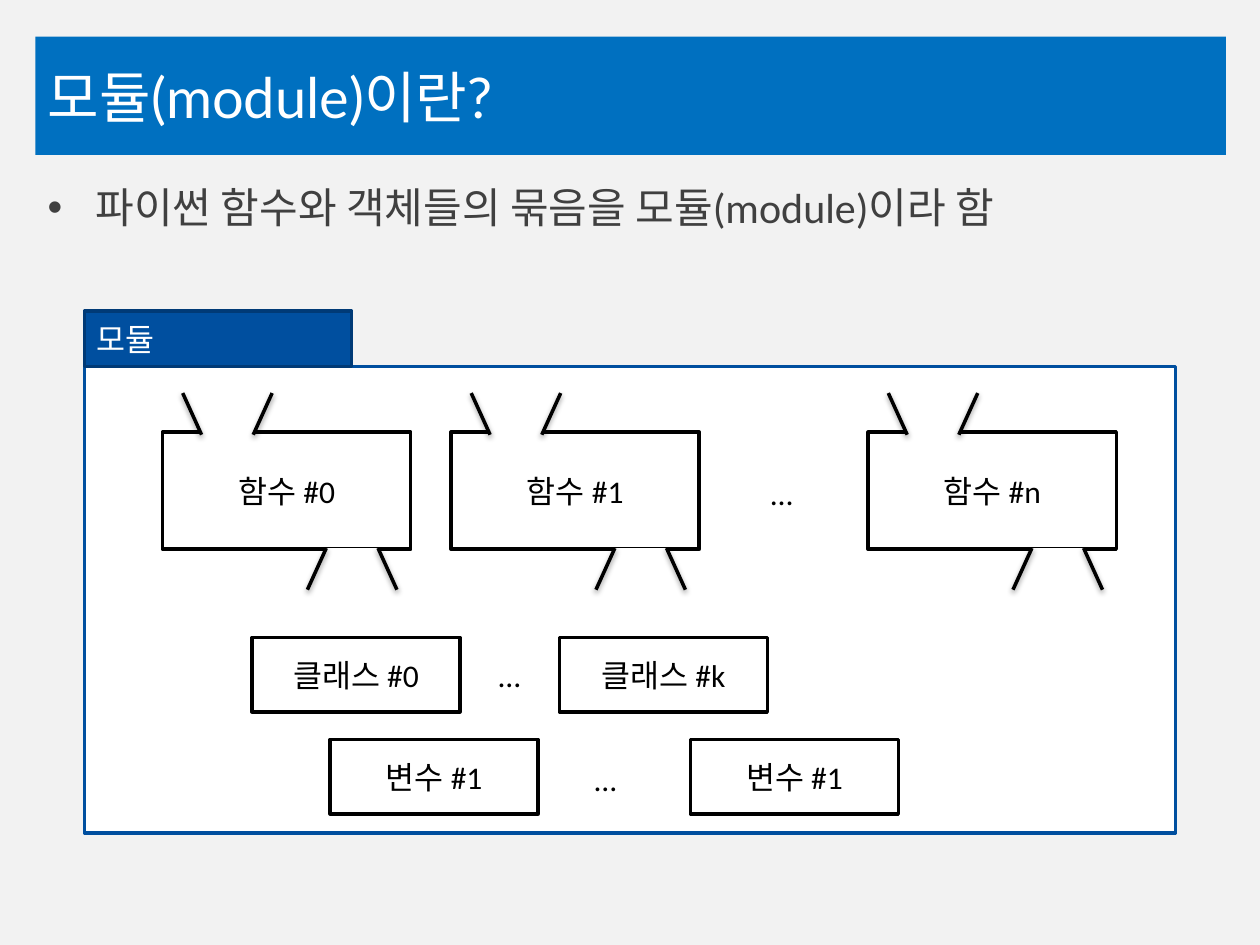
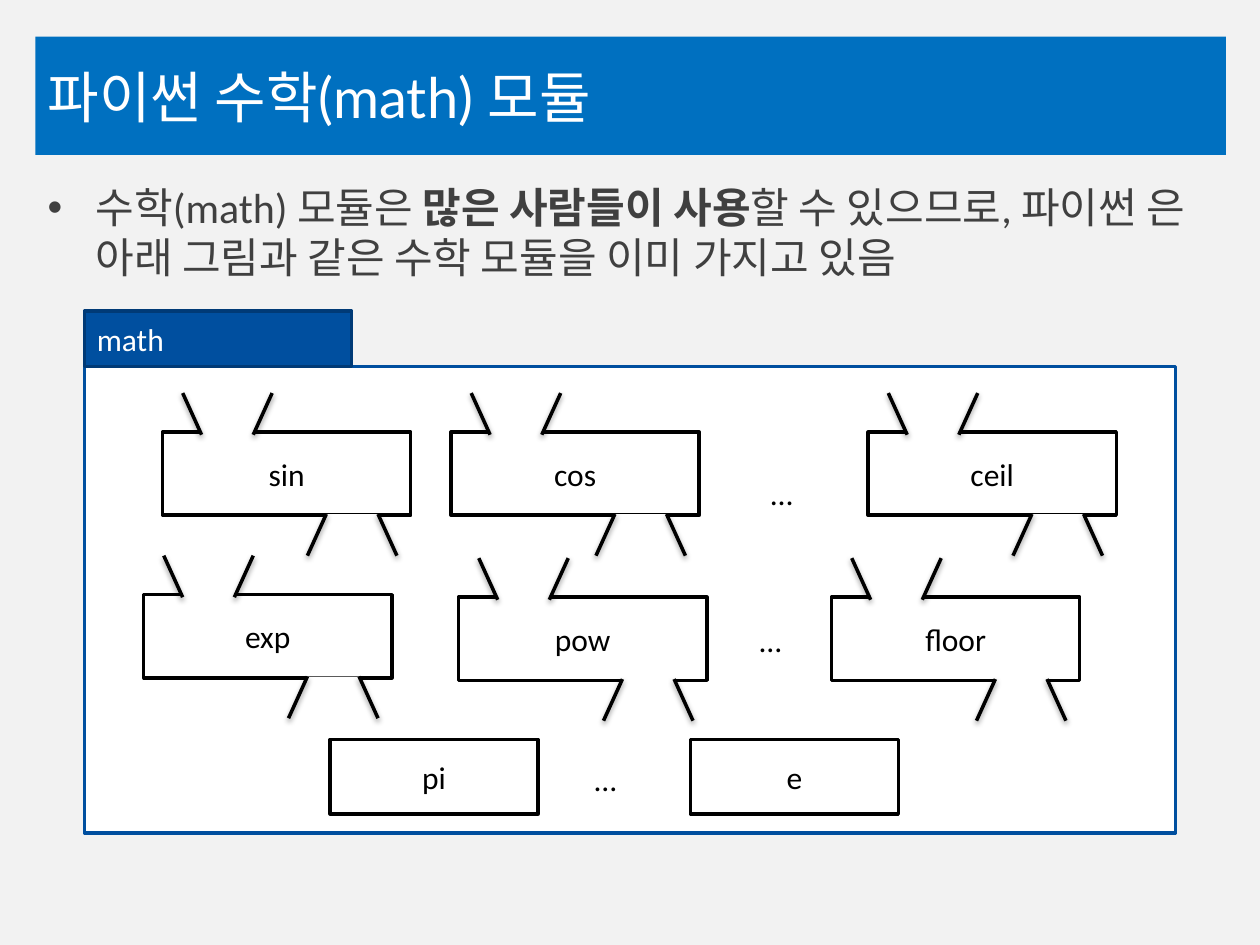
from lxml import etree
from pptx import Presentation
from pptx import util as u
from pptx.dml.color import RGBColor
from pptx.enum import shapes, text
from pptx.oxml import ns

BACKGROUND, BAND, WHITE, BLACK = "F2F2F2", "0070C0", "FFFFFF", "000000"
BODY_TEXT, MODULE_BLUE, TAB_EDGE = "404040", "004F9F", "003A76"
HEADER = (0.28, 0.29, 9.45, 0.94)
BODY = (0.28, 1.39, 9.45, 5.28)
GATE_W, MOUTH_W, MOUTH_H, SLANT = 1.97, 0.71, 0.33, 0.15
LEFT, CENTER = text.PP_ALIGN.LEFT, text.PP_ALIGN.CENTER


def rgb(color):
    return RGBColor.from_string(color)


def box_of(*lengths):
    return [u.Inches(n) for n in lengths]


def sub(parent, tag, **attrs):
    return etree.SubElement(parent, ns.qn(tag), attrs)


def write(sp, runs, size=18, color=BLACK, font="Calibri", align=LEFT,
          anchor=text.MSO_ANCHOR.MIDDLE, wrap=True):
    tf = sp.text_frame
    tf.word_wrap = wrap
    tf.auto_size = text.MSO_AUTO_SIZE.NONE
    tf.vertical_anchor = anchor
    p = tf.paragraphs[0]
    p.alignment = align
    for words, bold in runs:
        r = p.add_run()
        r.text = words
        r.font.size, r.font.name, r.font.bold = u.Pt(size), font, bold
        r.font.color.rgb = rgb(color)
    return p


def add_shape(parent, kind, box, fill=WHITE, line=None):
    sp = parent.shapes.add_shape(kind, *box_of(*box))
    sp.shadow.inherit = False
    sp.fill.solid()
    sp.fill.fore_color.rgb = rgb(fill)
    if line:
        sp.line.color.rgb = rgb(line)
        sp.line.width = u.Pt(2)
    else:
        sp.line.fill.background()
    return sp


def add_box(parent, box, label=None, fill=WHITE, line=BLACK, color=BLACK,
            align=CENTER):
    sp = add_shape(parent, shapes.MSO_SHAPE.RECTANGLE, box, fill, line)
    if label:
        write(sp, [(label, False)], color=color, align=align)


def add_shadowed_line(parent, x1, y1, x2, y2):
    c = parent.shapes.add_connector(
        shapes.MSO_CONNECTOR.STRAIGHT, *box_of(x1, y1, x2, y2))
    c.line.color.rgb = rgb(BLACK)
    c.line.width = u.Pt(2)
    effects = sub(c._element.spPr, "a:effectLst")
    shadow = sub(effects, "a:outerShdw", blurRad=str(u.Pt(3.1)),
                 dist=str(u.Pt(1.6)), dir="5400000", rotWithShape="0")
    sub(sub(shadow, "a:srgbClr", val=BLACK), "a:alpha", val="38000")


def add_mouth(parent, x, y, opens_up):
    sp = add_shape(parent, shapes.MSO_SHAPE.TRAPEZOID, (x, y, MOUTH_W, MOUTH_H))
    sp.adjustments[0] = 0.454
    sp.rotation = 180 if opens_up else 0
    wide, narrow = (y, y + MOUTH_H) if opens_up else (y + MOUTH_H, y)
    add_shadowed_line(parent, x + SLANT, narrow, x, wide)
    right = x + MOUTH_W
    add_shadowed_line(parent, right - SLANT, narrow, right, wide)


def add_function(s, x, y, height, label):
    group = s.shapes.add_group_shape()
    add_box(group, (x, y, GATE_W, height), label)
    add_mouth(group, x + 0.16, y - 0.31, True)
    add_mouth(group, x + 1.15, y + height - 0.01, False)


def add_member(s, x, y, label):
    add_box(s, (x, y, 1.65, 0.59), label)


def add_ellipsis(s, x, y):
    sp = s.shapes.add_textbox(*box_of(x, y, 0.38, 0.38))
    write(sp, [("…", False)], anchor=text.MSO_ANCHOR.TOP, wrap=False)


def add_title(s, title):
    sp = s.shapes.title
    sp.left, sp.top, sp.width, sp.height = box_of(*HEADER)
    sp.fill.solid()
    sp.fill.fore_color.rgb = rgb(BAND)
    write(sp, [(title, False)], size=32, color=WHITE, font="Lato")


def add_bullet(s, runs):
    sp = s.shapes.add_textbox(*box_of(*BODY))
    p = write(sp, runs, size=24, color=BODY_TEXT, anchor=text.MSO_ANCHOR.TOP)
    p.space_before = u.Pt(4.8)
    pPr = p._p.get_or_add_pPr()
    pPr.set("marL", str(u.Inches(0.38)))
    pPr.set("indent", str(u.Inches(-0.38)))
    sub(pPr, "a:buFont", typeface="Arial")
    sub(pPr, "a:buChar", char="•")


def add_module_slide(prs, title, bullet, module, functions, variables):
    s = prs.slides.add_slide(prs.slide_layouts[5])
    s.background.fill.solid()
    s.background.fill.fore_color.rgb = rgb(BACKGROUND)
    add_title(s, title)
    add_bullet(s, bullet)
    add_box(s, (0.67, 2.91, 8.66, 3.7), line=MODULE_BLUE)
    add_box(s, (0.67, 2.47, 2.12, 0.44), module, MODULE_BLUE, TAB_EDGE,
            WHITE, LEFT)
    for function in functions:
        add_function(s, *function)
    add_ellipsis(s, 6.02, 3.71)
    for x, label in zip((2.62, 5.48), variables):
        add_member(s, x, 5.87, label)
    add_ellipsis(s, 4.62, 5.98)
    return s


def first_row(height, labels):
    return [(x, 3.43, height, label)
            for x, label in zip((1.29, 3.58, 6.89), labels)]


def main():
    prs = Presentation()
    prs.slide_width, prs.slide_height = box_of(10, 7.5)

    s = add_module_slide(
        prs, "모듈(module)이란?",
        [("파이썬 함수와 객체들의 묶음을 모듈(module)이라 함", False)],
        "모듈", first_row(0.93, ("함수 #0", "함수 #1", "함수 #n")),
        ("변수 #1", "변수 #1"))
    add_member(s, 2, 5.06, "클래스 #0")
    add_member(s, 4.44, 5.06, "클래스 #k")
    add_ellipsis(s, 3.86, 5.16)

    second_row = [(1.14, 4.72, 0.66, "exp"), (3.64, 4.74, 0.66, "pow"),
                  (6.6, 4.74, 0.66, "floor")]
    s = add_module_slide(
        prs, "파이썬 수학(math) 모듈",
        [("수학(math) 모듈은 ", False), ("많은 사람들이 사용", True),
         ("할 수 있으므로, 파이썬 은 아래 그림과 같은 수학 모듈을 이미 가지고 있음",
          False)],
        "math", first_row(0.66, ("sin", "cos", "ceil")) + second_row,
        ("pi", "e"))
    add_ellipsis(s, 5.93, 4.88)

    prs.save("out.pptx")


if __name__ == "__main__":
    main()
